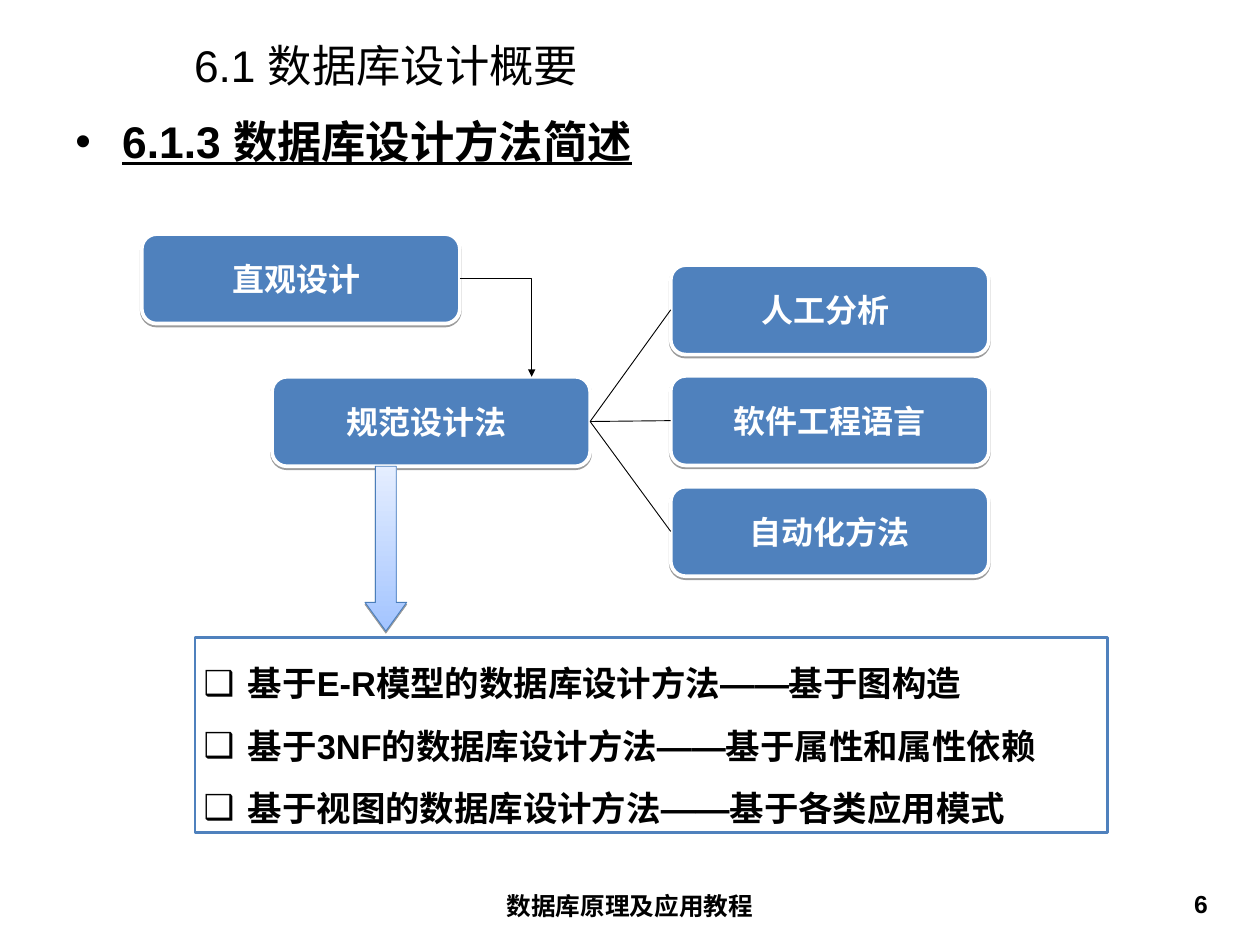
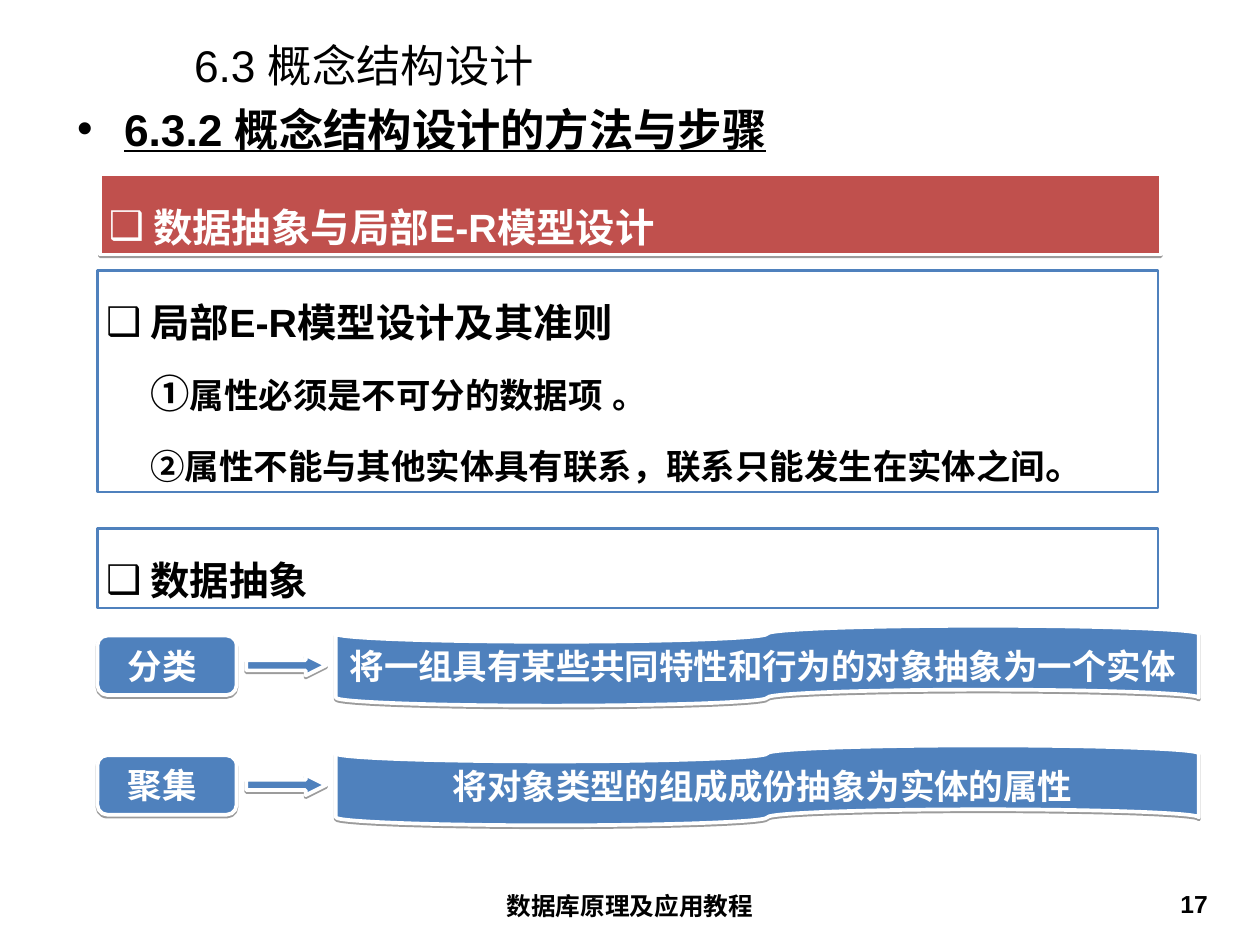
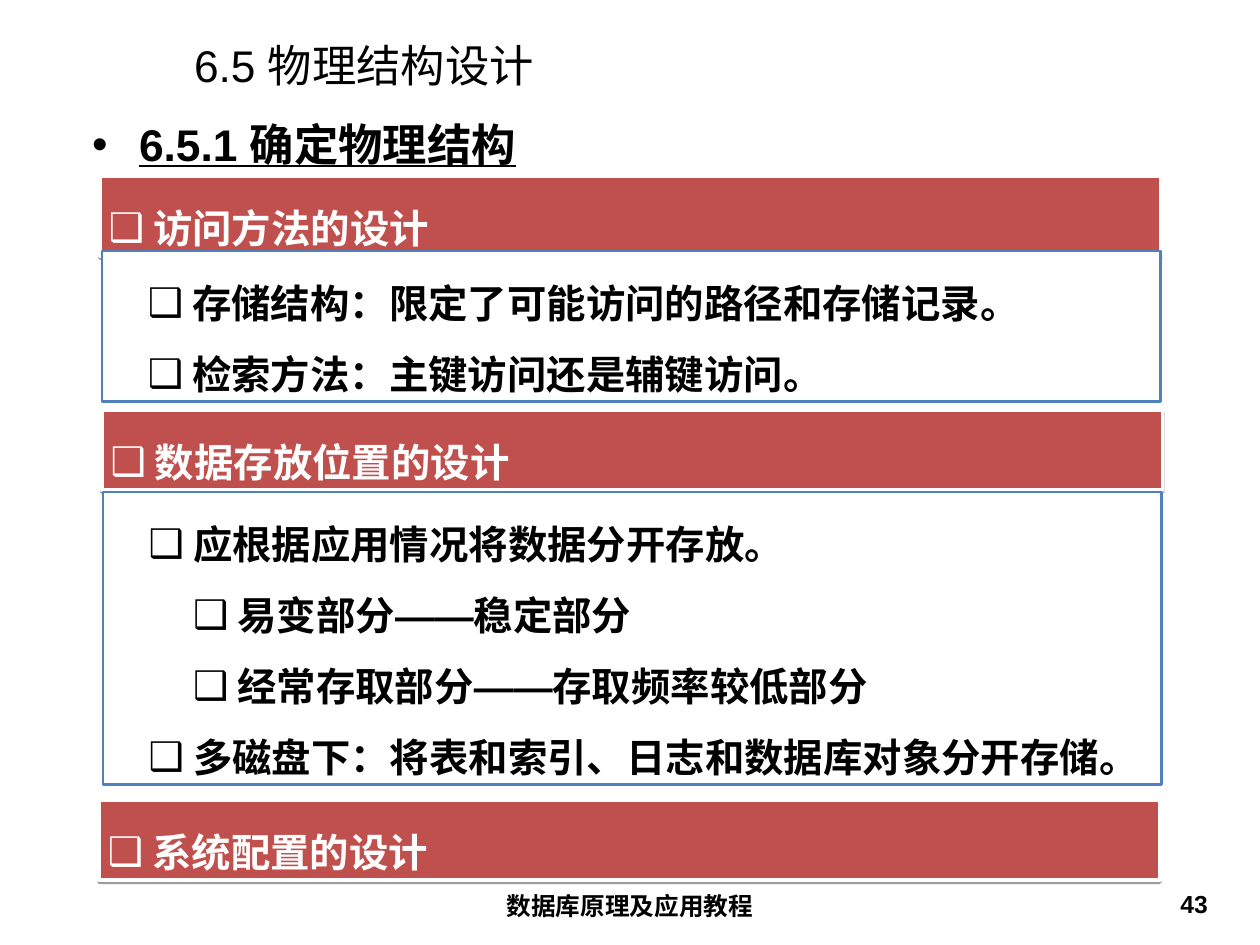
from lxml import etree
from pptx import Presentation
from pptx.dml.color import RGBColor
from pptx.enum.shapes import MSO_CONNECTOR, MSO_SHAPE
from pptx.enum.text import MSO_ANCHOR, MSO_AUTO_SIZE, PP_ALIGN
from pptx.oxml.ns import qn
from pptx.util import Inches, Pt

RECTANGLE = MSO_SHAPE.RECTANGLE
NODE = MSO_SHAPE.FLOWCHART_ALTERNATE_PROCESS
TAPE = MSO_SHAPE.FLOWCHART_PUNCHED_TAPE
DOWN_ARROW, RIGHT_ARROW = MSO_SHAPE.DOWN_ARROW, MSO_SHAPE.RIGHT_ARROW
STRAIGHT, ELBOW = MSO_CONNECTOR.STRAIGHT, MSO_CONNECTOR.ELBOW
TOP, MIDDLE = MSO_ANCHOR.TOP, MSO_ANCHOR.MIDDLE
LEFT, CENTER, RIGHT = PP_ALIGN.LEFT, PP_ALIGN.CENTER, PP_ALIGN.RIGHT
NO_FIT = MSO_AUTO_SIZE.NONE
LEFT_SIDE, RIGHT_SIDE = 1, 3

COLORS = {
    "black": "000000",
    "white": "FFFFFF",
    "blue": "4F81BD",
    "red": "C0504D",
    "arrow_dark": "A3C4FF",
    "arrow_light": "E5EEFF",
    "arrow_edge": "4A7EBB",
}
FONT = "Arial"
FOOTER = "数据库原理及应用教程"
WIDE_INSET = (0.14, 0.07)
NARROW_INSET = (0.1, 0.05)
NODE_SIZE = (3.59, 1.01)
SQUARE = "❑"


def rgb(name):
    return RGBColor.from_string(COLORS[name])


def area(left, top, width, height):
    return [Inches(value) for value in (left, top, width, height)]


def add_bullet(para, mark, color):
    props = para._p.get_or_add_pPr()
    bullet_color = etree.SubElement(props, qn("a:buClr"))
    etree.SubElement(bullet_color, qn("a:srgbClr"), val=COLORS[color])
    etree.SubElement(props, qn("a:buFont"), typeface=FONT)
    etree.SubElement(props, qn("a:buChar"), char=mark)


def add_span(para, text, size, color, bold, underline):
    span = para.add_run()
    span.text = text
    font = span.font
    font.name, font.size = FONT, Pt(size)
    font.bold, font.underline = bold, underline
    font.color.rgb = rgb(color)
    props = span._r.get_or_add_rPr()
    props.set("lang", "zh-CN")
    etree.SubElement(props, qn("a:ea"), typeface=FONT)


def line(*spans, bullet=SQUARE, indent=0.5, hanging=0.5, level=0):
    return {"spans": spans, "bullet": bullet, "indent": indent,
            "hanging": hanging, "level": level}


def plain(text):
    return line(text, bullet=None, indent=0, hanging=0)


def write(box, lines, size, color="black", bold=True, underline=False, align=LEFT,
          anchor=TOP, inset=WIDE_INSET, spacing=None, wrap=True):
    frame = box.text_frame
    frame.auto_size, frame.word_wrap, frame.vertical_anchor = NO_FIT, wrap, anchor
    frame.margin_left = frame.margin_right = Inches(inset[0])
    frame.margin_top = frame.margin_bottom = Inches(inset[1])
    for index, item in enumerate(lines):
        para = frame.add_paragraph() if index else frame.paragraphs[0]
        para.alignment, para.level = align, item["level"]
        if spacing:
            para.line_spacing = spacing
        props = para._p.get_or_add_pPr()
        props.set("marL", str(Inches(item["indent"])))
        props.set("indent", str(-Inches(item["hanging"])))
        if item["bullet"]:
            add_bullet(para, item["bullet"], color)
        for span in item["spans"]:
            text, span_size = (span, size) if isinstance(span, str) else span
            add_span(para, text, span_size, color, bold, underline)


def add_shape(page, kind, box_area, fill="blue", edge="white", edge_width=3, shadow=True):
    shape = page.shapes.add_shape(kind, *area(*box_area))
    if fill:
        shape.fill.solid()
        shape.fill.fore_color.rgb = rgb(fill)
    shape.line.color.rgb = rgb(edge)
    shape.line.width = Pt(edge_width)
    shape.shadow.inherit = False
    if shadow:
        effects = shape._element.spPr.find(qn("a:effectLst"))
        outer = etree.SubElement(effects, qn("a:outerShdw"), blurRad="0",
                                 dist=str(Pt(1.6)), dir="5400000", rotWithShape="0")
        shade = etree.SubElement(outer, qn("a:srgbClr"), val=COLORS["black"])
        etree.SubElement(shade, qn("a:alpha"), val="38000")
    return shape


def add_label(page, kind, box_area, text, size):
    shape = add_shape(page, kind, box_area)
    write(shape, [plain(text)], size, "white", align=CENTER, anchor=MIDDLE, wrap=False)
    return shape


def add_link(page, kind, start, end=(0, 0)):
    link = page.shapes.add_connector(kind, *area(*start, *end))
    link.line.color.rgb = rgb("black")
    link.line.width = Pt(0.75)
    etree.SubElement(link._element.spPr, qn("a:effectLst"))
    return link


def add_band(page, left, top, text):
    band = add_shape(page, RECTANGLE, (left, top, 11.97, 0.9), fill="red")
    write(band, [line(text)], 32, "white", inset=NARROW_INSET, spacing=1.5)


def add_panel(page, box_area, lines, size=32):
    panel = add_shape(page, RECTANGLE, box_area, "white", "blue", 2, shadow=False)
    write(panel, lines, size, inset=NARROW_INSET, spacing=1.5)


def add_page(deck, title, heading, heading_at, number):
    page = deck.slides.add_slide(deck.slide_layouts[5])
    box = page.shapes.title
    box.left, box.top, box.width, box.height = area(2.05, 0.45, 11.83, 0.57)
    write(box, [plain(title)], 36, bold=False, anchor=MIDDLE)
    heading_line = line(heading, bullet="•", indent=0.53, hanging=0.53)
    for box_area, item, options in (
        ((*heading_at, 12.8, 0.89), heading_line, {"size": 36, "underline": True}),
        ((4.86, 9.98, 4.5, 0.55), plain(FOOTER), {"size": 20, "align": CENTER}),
        ((10.41, 9.98, 3.32, 0.55), plain(str(number)),
         {"size": 20, "align": RIGHT, "inset": NARROW_INSET}),
    ):
        write(page.shapes.add_textbox(*area(*box_area)), [item], **options)
    return page


def add_down_arrow(page, box_area):
    arrow = add_shape(page, DOWN_ARROW, box_area, None, "arrow_edge", 0.75)
    arrow.adjustments[1] = 0.69
    arrow.fill.gradient()
    arrow.fill.gradient_angle = 90
    for stop, color in zip(arrow.fill.gradient_stops, ("arrow_dark", "arrow_light")):
        stop.color.rgb = rgb(color)


def add_method_diagram(page, left, top):
    width, height = NODE_SIZE
    intuitive = add_label(page, NODE, (left, top, *NODE_SIZE), "直观设计 ", 26)
    method_left, method_top = left + 1.47, top + 1.61
    method = add_label(page, NODE, (method_left, method_top, *NODE_SIZE), "规范设计法 ", 26)
    for index, text in enumerate(("人工分析 ", "软件工程语言", "自动化方法")):
        spot = (left + 5.97, top + 0.35 + 1.25 * index)
        branch = add_label(page, NODE, (*spot, *NODE_SIZE), text, 26)
        link = add_link(page, STRAIGHT, spot, spot)
        link.begin_connect(method, RIGHT_SIDE)
        link.end_connect(branch, LEFT_SIDE)
    elbow = add_link(page, ELBOW, (left + width, top + height / 2), (left + 4.4, method_top))
    elbow.begin_connect(intuitive, RIGHT_SIDE)
    elbow._element.spPr.find(qn("a:prstGeom")).set("prst", "bentConnector2")
    etree.SubElement(elbow.line._get_or_add_ln(), qn("a:tailEnd"), type="triangle")
    add_down_arrow(page, (method_left + 1.05, method_top + height, 0.47, 1.86))


def add_definition_row(page, left, top, term, meaning):
    add_label(page, NODE, (left, top + 0.11, 1.57, 0.67), term, 28)
    arrow = add_shape(page, RIGHT_ARROW, (left + 1.68, top + 0.33, 0.9, 0.23))
    arrow.adjustments[1] = 1
    add_label(page, TAPE, (left + 2.69, top, 9.74, 0.9), meaning, 28)


def build_methods(deck):
    page = add_page(deck, "6.1 数据库设计概要", "6.1.3 数据库设计方法简述", (0.71, 1.22), 6)
    add_method_diagram(page, 1.6, 2.64)
    add_panel(page, (2.2, 7.19, 10.3, 2.2), [
        line("基于E-R模型的数据库设计方法——基于图构造"),
        line("基于3NF的数据库设计方法——基于属性和属性依赖"),
        line("基于视图的数据库设计方法——基于各类应用模式"),
    ], 28)


def build_concepts(deck):
    page = add_page(deck, "6.3 概念结构设计", "6.3.2 概念结构设计的方法与步骤", (0.73, 1.08), 17)
    add_band(page, 1.13, 1.97, "数据抽象与局部E-R模型设计")
    rule = {"bullet": None, "hanging": 0, "level": 1}
    add_panel(page, (1.1, 3.05, 11.97, 2.5), [
        line("局部E-R模型设计及其准则"),
        line("①", ("属性必须是不可分的数据项 。", 28), **rule),
        line(("②属性不能与其他实体具有联系，联系只能发生在实体之间", 28), "。", **rule),
    ])
    add_panel(page, (1.1, 5.96, 11.97, 0.9), [line("数据抽象")])
    for index, (term, meaning) in enumerate((
        ("分类 ", "将一组具有某些共同特性和行为的对象抽象为一个实体 "),
        ("聚集 ", "将对象类型的组成成份抽象为实体的属性 "),
    )):
        add_definition_row(page, 1.1, 7.06 + 1.35 * index, term, meaning)


def build_storage(deck):
    page = add_page(deck, "6.5 物理结构设计", "6.5.1 确定物理结构", (0.9, 1.25), 43)
    add_band(page, 1.13, 1.99, "访问方法的设计")
    add_panel(page, (1.15, 2.83, 11.95, 1.7), [
        line("存储结构：限定了可能访问的路径和存储记录。", indent=0.92),
        line("检索方法：主键访问还是辅键访问。", indent=0.92),
    ])
    add_band(page, 1.15, 4.63, "数据存放位置的设计")
    add_panel(page, (1.16, 5.55, 11.95, 3.3), [
        line("应根据应用情况将数据分开存放。", indent=0.92),
        line("易变部分——稳定部分", indent=1.42, level=1),
        line("经常存取部分——存取频率较低部分", indent=1.42, level=1),
        line("多磁盘下：将表和索引、日志和数据库对象分开存储。", indent=0.92),
    ])
    add_band(page, 1.12, 9.03, "系统配置的设计")


def main():
    deck = Presentation()
    deck.slide_width, deck.slide_height = Inches(14.22), Inches(10.66)
    for build in (build_methods, build_concepts, build_storage):
        build(deck)
    deck.save("out.pptx")


if __name__ == "__main__":
    main()
